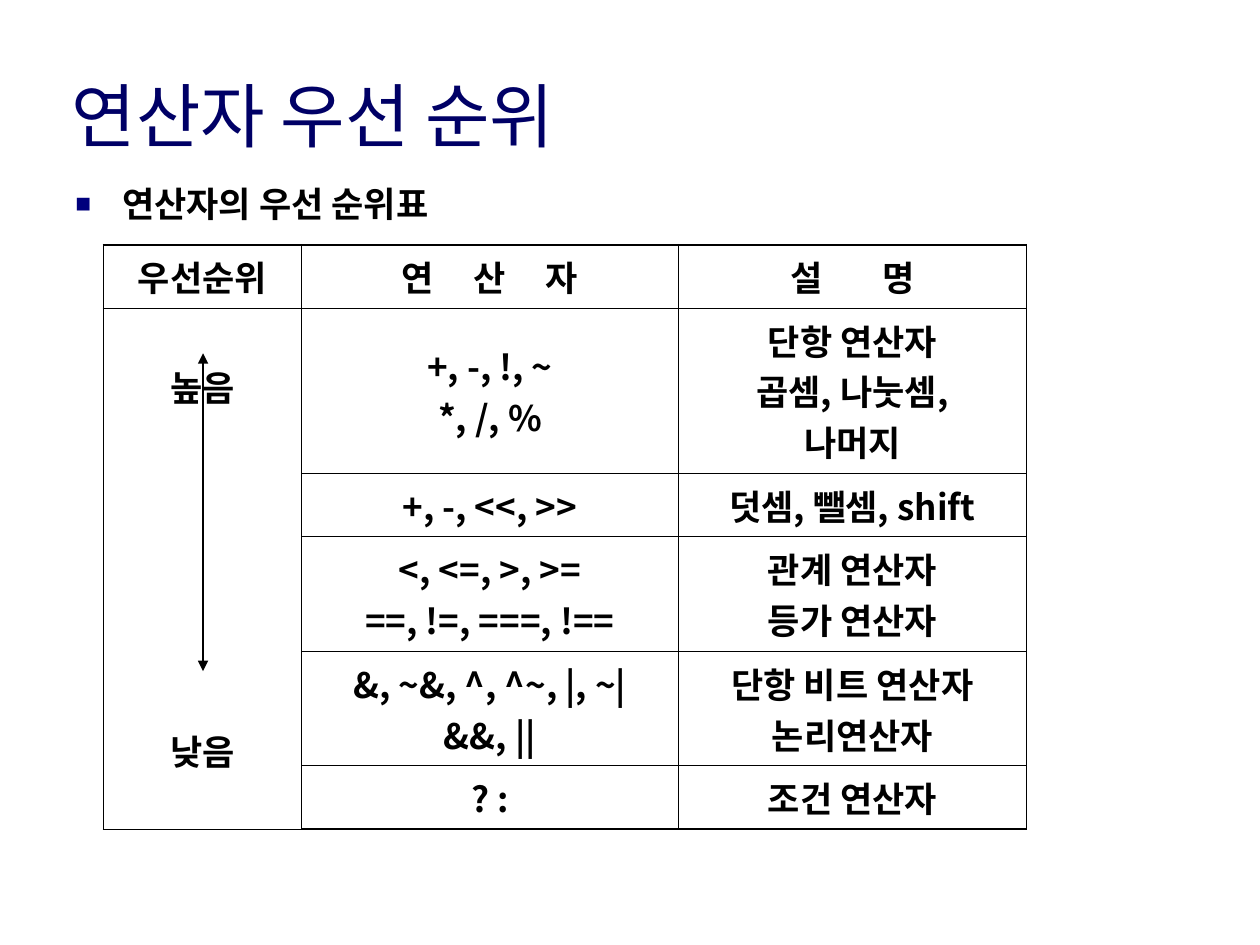
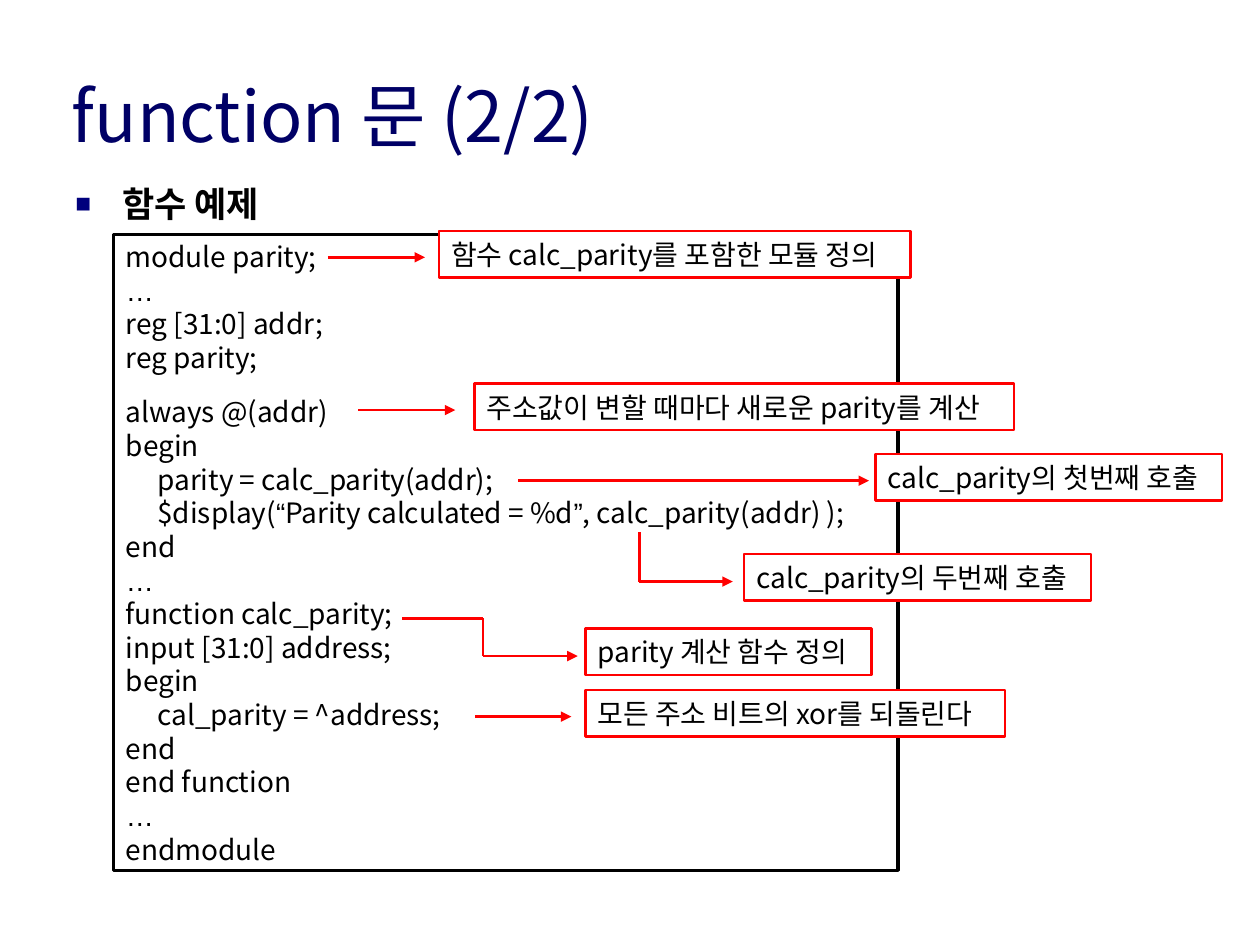
from dataclasses import dataclass
from itertools import pairwise

from lxml.etree import SubElement
from pptx import Presentation
from pptx.dml.color import RGBColor
from pptx.enum.shapes import MSO_CONNECTOR as CONN, MSO_SHAPE as SHAPE
from pptx.enum.text import MSO_ANCHOR as ANCHOR, PP_ALIGN as ALIGN
from pptx.oxml import parse_xml
from pptx.oxml.ns import nsdecls, qn
from pptx.util import Inches, Pt

COLORS = {"title": "000066", "bullet": "00007D", "ink": "000000",
          "mark": "FF0000", "paper": "FFFFFF"}
FONT = "Noto Sans CJK KR"
SYMBOL_FONT = "Arial"
CODE_LEADING = 19.2
OUTER, INNER = 1.13, 0.45  # table border widths


@dataclass
class Callout:
    text: str
    left: float
    top: float
    width: float
    route: list[tuple[float, float]]  # corners of the arrow that leads here


@dataclass
class CodeLine:
    text: str
    indent: float = 0
    before: float = 0


# Slide 1 content
COL_WIDTHS = [1.57, 2.99, 2.76]
ROW_HEIGHTS = [0.5, 1.31, 0.5, 0.91, 0.91, 0.5]
HEADERS = [("우선순위", 0), ("연 산 자", 9), ("설 명", 15)]  # text, letter spacing
OPERATORS = [
    (["+, -, !, ~", "*, /, %"], ["단항 연산자", "곱셈, 나눗셈,", "나머지"]),
    (["+, -, <<, >>"], ["덧셈, 뺄셈, shift"]),
    (["<, <=, >, >=", "==, !=, ===, !=="], ["관계 연산자", "등가 연산자"]),
    (["&, ~&, ^, ^~, |, ~|", "&&, ||"], ["단항 비트 연산자", "논리연산자"]),
    (["? :"], ["조건 연산자"]),
]

# Slide 2 content
CODE = [
    CodeLine("module parity;"),
    CodeLine("…"),
    CodeLine("reg [31:0] addr;"),
    CodeLine("reg parity;"),
    CodeLine("always @(addr)", before=12),
    CodeLine("begin"),
    CodeLine("parity = calc_parity(addr);", indent=0.25),
    CodeLine("$display(“Parity calculated = %d”, calc_parity(addr) );", indent=0.25),
    CodeLine("end"),
    CodeLine("…"),
    CodeLine("function calc_parity;"),
    CodeLine("input [31:0] address;"),
    CodeLine("begin"),
    CodeLine("cal_parity = ^address;", indent=0.25),
    CodeLine("end"),
    CodeLine("end function"),
    CodeLine("…"),
    CodeLine("endmodule"),
]
CALLOUTS = [
    Callout("함수 calc_parity를 포함한 모듈 정의", 3.48, 1.83, 3.74,
            [(2.6, 2.04), (3.37, 2.04)]),
    Callout("주소값이 변할 때마다 새로운 parity를 계산", 3.76, 3.04, 4.28,
            [(2.84, 3.25), (3.61, 3.25)]),
    Callout("calc_parity의 첫번째 호출", 6.94, 3.6, 2.75,
            [(4.11, 3.81), (6.89, 3.81)]),
    Callout("calc_parity의 두번째 호출", 5.9, 4.39, 2.75,
            [(5.07, 4.22), (5.07, 4.61), (5.81, 4.61)]),
    Callout("parity 계산 함수 정의", 4.64, 4.98, 2.27,
            [(3.19, 4.9), (3.83, 4.9), (3.83, 5.2), (4.58, 5.2)]),
    Callout("모든 주소 비트의 xor를 되돌린다", 4.64, 5.47, 3.33,
            [(3.77, 5.68), (4.53, 5.68)]),
]


def rgb(name: str) -> RGBColor:
    return RGBColor.from_string(COLORS[name])


def add_run(p, text: str, size: float, color: str = "ink", bold: bool = False,
            font: str = FONT, spacing: float = 0) -> None:
    r = p.add_run()
    r.text = text
    r.font.size, r.font.bold, r.font.name = Pt(size), bold, font
    r.font.color.rgb = rgb(color)
    r_pr = r.font._element
    SubElement(r_pr, qn("a:ea")).set("typeface", font)
    if spacing:
        r_pr.set("spc", str(int(spacing * 100)))


def add_code_runs(p, text: str) -> None:
    """Set typographic symbols in their own font."""
    part = ""
    for ch in text:
        if ch in "…“”":
            if part:
                add_run(p, part, 16)
            add_run(p, ch, 16, font=SYMBOL_FONT)
            part = ""
        else:
            part += ch
    if part:
        add_run(p, part, 16)


def start_slide(prs, title: str, heading: str):
    """Add a slide with the shared title and bulleted heading."""
    s = prs.slides.add_slide(prs.slide_layouts[5])
    sp = s.shapes.title
    sp.left, sp.top, sp.width, sp.height = map(Inches, (0.47, 0.48, 9.19, 0.86))
    tf = sp.text_frame
    tf.vertical_anchor = ANCHOR.MIDDLE
    p = tf.paragraphs[0]
    p.alignment = ALIGN.LEFT
    add_run(p, title, 40, "title")

    tf = s.shapes.add_textbox(*map(Inches, (0.5, 1.4, 9, 0.5))).text_frame
    tf.word_wrap = True
    p = tf.paragraphs[0]
    add_run(p, heading, 20, bold=True)
    p_pr = p._p.get_or_add_pPr()
    p_pr.set("marL", str(Inches(0.37)))
    p_pr.set("indent", str(-Inches(0.37)))
    color = SubElement(SubElement(p_pr, qn("a:buClr")), qn("a:srgbClr"))
    color.set("val", COLORS["bullet"])
    SubElement(p_pr, qn("a:buSzPct")).set("val", "75000")
    SubElement(p_pr, qn("a:buFont")).set("typeface", SYMBOL_FONT)
    SubElement(p_pr, qn("a:buChar")).set("char", "■")
    return s


def add_line(s, start: tuple[float, float], end: tuple[float, float], color: str,
             head: bool = False, tail: bool = False) -> None:
    sp = s.shapes.add_connector(CONN.STRAIGHT, *map(Inches, (*start, *end)))
    sp.line.color.rgb = rgb(color)
    sp.line.width = Pt(1.5)
    ln = sp.line._get_or_add_ln()
    for tag, wanted in (("a:headEnd", head), ("a:tailEnd", tail)):
        if wanted:
            SubElement(ln, qn(tag)).set("type", "triangle")
    SubElement(sp._element.spPr, qn("a:effectLst"))


def add_box(s, left: float, top: float, width: float, height: float,
            color: str, line_width: float, filled: bool):
    """Add an outlined rectangle and return its text frame."""
    sp = s.shapes.add_shape(SHAPE.RECTANGLE, *map(Inches, (left, top, width, height)))
    sp.shadow.inherit = False
    if filled:
        sp.fill.solid()
        sp.fill.fore_color.rgb = rgb("paper")
    else:
        sp.fill.background()
    sp.line.color.rgb = rgb(color)
    sp.line.width = Pt(line_width)
    tf = sp.text_frame
    tf.word_wrap = False
    tf.vertical_anchor = ANCHOR.MIDDLE
    return tf


def format_code(p) -> None:
    p.alignment = ALIGN.LEFT
    p.line_spacing = Pt(CODE_LEADING)


def set_borders(cell, widths: dict[str, float]) -> None:
    tc_pr = cell._tc.get_or_add_tcPr()
    for i, (side, width) in enumerate(widths.items()):
        tc_pr.insert(i, parse_xml(
            f'<a:ln{side} {nsdecls("a")} w="{Pt(width)}"><a:solidFill>'
            f'<a:srgbClr val="{COLORS["ink"]}"/></a:solidFill></a:ln{side}>'))


def fill_cell(cell, lines: list[str], gap: float = 0, spacing: float = 0) -> None:
    tf = cell.text_frame
    for i, text in enumerate(lines):
        p = tf.add_paragraph() if i else tf.paragraphs[0]
        p.alignment = ALIGN.CENTER
        if i and gap:
            p.space_before = Pt(gap)
        if spacing:
            add_run(p, text[:-1], 20, bold=True, spacing=spacing)
            add_run(p, text[-1], 20, bold=True)
        else:
            add_run(p, text, 20, bold=True)


def build_precedence(prs) -> None:
    s = start_slide(prs, "연산자 우선 순위", "연산자의 우선 순위표")
    n_rows, n_cols = len(ROW_HEIGHTS), len(COL_WIDTHS)
    table = s.shapes.add_table(n_rows, n_cols, Inches(0.82), Inches(1.94),
                               Inches(sum(COL_WIDTHS)),
                               Inches(sum(ROW_HEIGHTS))).table
    table.first_row = table.horz_banding = False
    for col, width in zip(table.columns, COL_WIDTHS):
        col.width = Inches(width)
    for row, height in zip(table.rows, ROW_HEIGHTS):
        row.height = Inches(height)

    # Plain cells with a heavier outer frame
    for i in range(n_rows):
        for j in range(n_cols):
            cell = table.cell(i, j)
            cell.vertical_anchor = ANCHOR.MIDDLE
            cell.fill.background()
            set_borders(cell, {
                "L": OUTER if j == 0 else INNER,
                "R": OUTER if j == n_cols - 1 else INNER,
                "T": OUTER if i == 0 else INNER,
                "B": OUTER if i == n_rows - 1 else INNER})

    # Text
    for j, (text, spacing) in enumerate(HEADERS):
        fill_cell(table.cell(0, j), [text], spacing=spacing)
    table.cell(1, 0).merge(table.cell(n_rows - 1, 0))
    fill_cell(table.cell(1, 0), ["높음", "낮음"], gap=179)
    for i, (symbols, meanings) in enumerate(OPERATORS, 1):
        fill_cell(table.cell(i, 1), symbols)
        fill_cell(table.cell(i, 2), meanings)

    # High-to-low arrow
    add_line(s, (1.61, 2.8), (1.61, 5.32), "ink", head=True, tail=True)


def build_function(prs) -> None:
    s = start_slide(prs, "function 문 (2/2)", "함수 예제")

    # Code listing
    tf = add_box(s, 0.9, 1.86, 6.22, 5.04, "ink", 1.75, filled=False)
    for i, line in enumerate(CODE):
        p = tf.add_paragraph() if i else tf.paragraphs[0]
        format_code(p)
        if line.before:
            p.space_before = Pt(line.before)
        if line.indent:
            p._p.get_or_add_pPr().set("marL", str(Inches(line.indent)))
        add_code_runs(p, line.text)

    # Callouts and their arrows
    for c in CALLOUTS:
        p = add_box(s, c.left, c.top, c.width, 0.37, "mark", 1.5,
                    filled=True).paragraphs[0]
        format_code(p)
        add_run(p, c.text, 16)
        for start, end in pairwise(c.route):
            add_line(s, start, end, "mark", tail=end == c.route[-1])


def main() -> None:
    prs = Presentation()
    prs.slide_width, prs.slide_height = Inches(9.99), Inches(7.49)
    build_precedence(prs)
    build_function(prs)
    prs.save("out.pptx")


if __name__ == "__main__":
    main()
